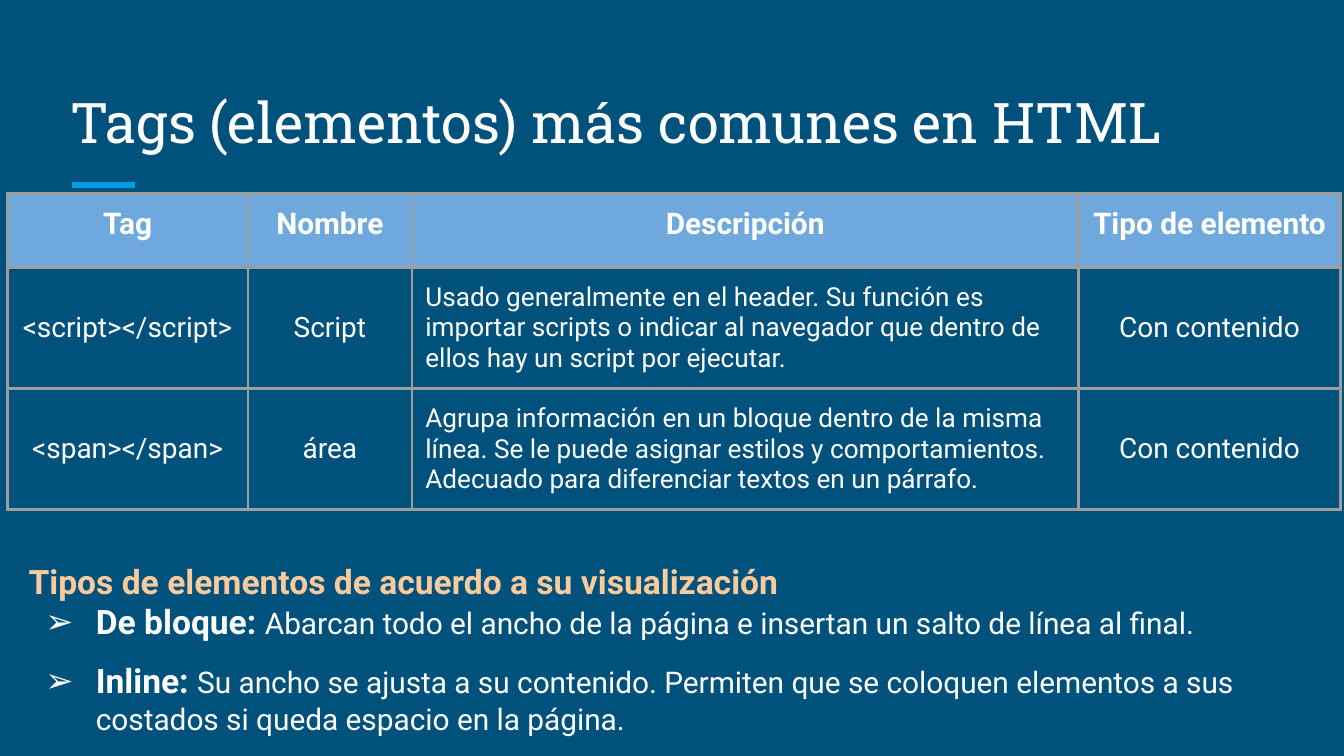
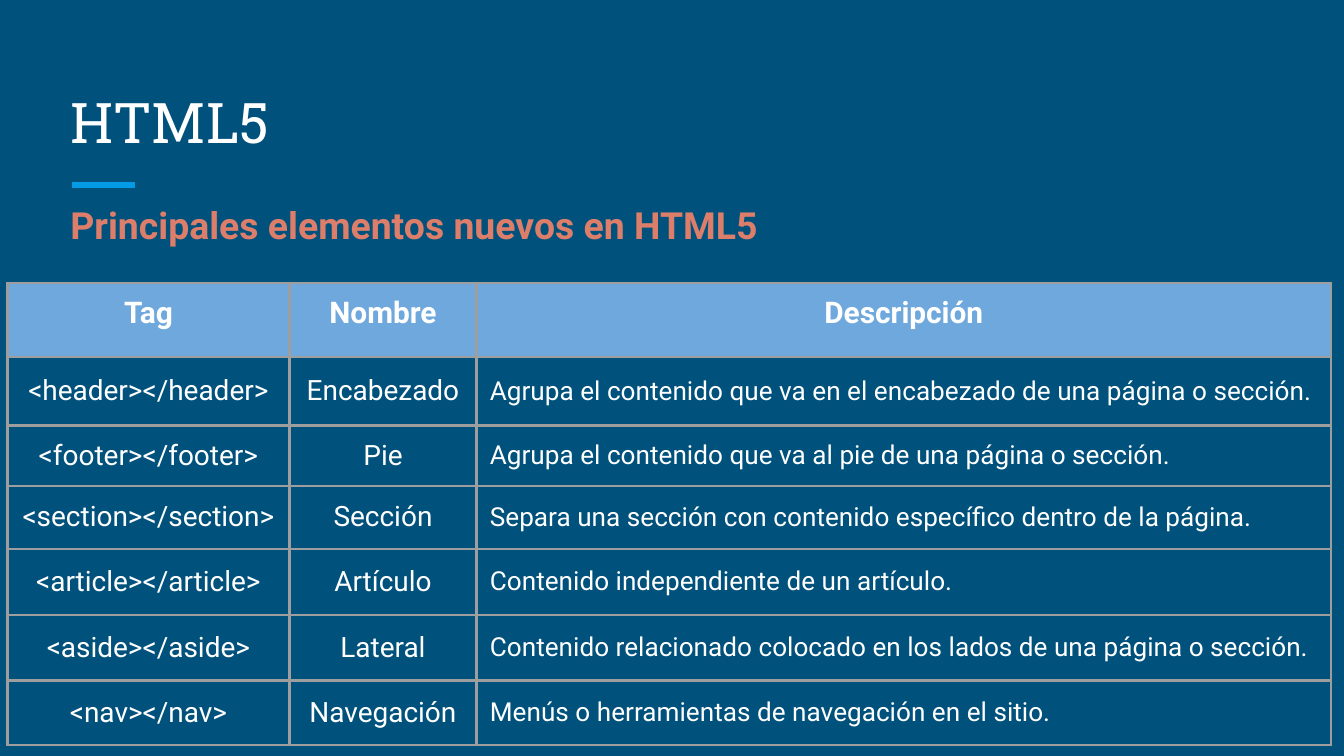
from dataclasses import dataclass

from lxml.etree import SubElement
from pptx import Presentation
from pptx.dml.color import RGBColor
from pptx.enum.shapes import MSO_CONNECTOR
from pptx.enum.text import MSO_ANCHOR, PP_ALIGN
from pptx.oxml.ns import qn
from pptx.util import Inches, Pt


@dataclass(frozen=True)
class Theme:
    background: str = "00517C"
    text: str = "FFFFFF"
    accent: str = "039BE5"
    header: str = "6FA8DC"
    border: str = "9E9E9E"
    peach: str = "F9CB9C"
    coral: str = "DD7E6B"
    body_font: str = "Roboto"
    title_font: str = "Roboto Slab"
    title_size: int = 30
    subtitle_size: int = 20
    lead_size: int = 18
    header_size: int = 16
    tag_size: int = 15
    description_size: int = 14
    accent_width: float = 3
    border_width: float = 1.5


THEME = Theme()

# Widescreen page on a square grid, 100 units across
WIDTH = 10
HEIGHT = WIDTH * 9 / 16
UNIT = WIDTH / 100
INSET = 1
MARGIN_LEFT = 4.25
TABLE_LEFT = 0.55
HEADER_ROW = 5.5

DESCRIPTION = "Descripción"
COMMON_TAGS = [
    ("Tag", "Nombre", DESCRIPTION, "Tipo de elemento"),
    ("<script></script>", "Script",
     "Usado generalmente en el header. Su función es importar scripts o indicar "
     "al navegador que dentro de ellos hay un script por ejecutar.",
     "Con contenido"),
    ("<span></span>", "área",
     "Agrupa información en un bloque dentro de la misma línea. Se le puede "
     "asignar estilos y comportamientos. Adecuado para diferenciar textos en "
     "un párrafo.",
     "Con contenido"),
]
DISPLAY_TYPES = [
    ("De bloque: ",
     "Abarcan todo el ancho de la página e insertan un salto de línea al final."),
    ("Inline: ",
     "Su ancho se ajusta a su contenido. Permiten que se coloquen elementos a "
     "sus costados si queda espacio en la página."),
]
HTML5_TAGS = [
    ("Tag", "Nombre", DESCRIPTION),
    ("<header></header>", "Encabezado",
     "Agrupa el contenido que va en el encabezado de una página o sección."),
    ("<footer></footer>", "Pie",
     "Agrupa el contenido que va al pie de una página o sección."),
    ("<section></section>", "Sección",
     "Separa una sección con contenido específico dentro de la página."),
    ("<article></article>", "Artículo",
     "Contenido independiente de un artículo."),
    ("<aside></aside>", "Lateral",
     "Contenido relacionado colocado en los lados de una página o sección."),
    ("<nav></nav>", "Navegación",
     "Menús o herramientas de navegación en el sitio."),
]


def grid(*units):
    return [Inches(unit * UNIT) for unit in units]


def apply_format(target, values):
    for name, value in values.items():
        setattr(target, name, value)


def inset_format():
    return {f"margin_{side}": Inches(INSET * UNIT)
            for side in ("left", "right", "top", "bottom")}


# Text
def add_span(para, text, size, color=THEME.text, font=THEME.body_font, bold=False):
    span = para.add_run()
    span.text = text
    apply_format(span.font, {"size": Pt(size), "name": font, "bold": bold})
    span.font.color.rgb = RGBColor.from_string(color)


def add_box(page, left, top, width, height, anchor=MSO_ANCHOR.TOP):
    box = page.shapes.add_textbox(*grid(left, top, width, height))
    apply_format(box.text_frame, {
        "word_wrap": True, "vertical_anchor": anchor, **inset_format()})
    return box.text_frame


def set_bullet(para, symbol, indent, hanging):
    properties = para._p.get_or_add_pPr()
    properties.set("marL", str(Inches(indent * UNIT)))
    properties.set("indent", str(-Inches(hanging * UNIT)))
    color = SubElement(properties, qn("a:buClr"))
    SubElement(color, qn("a:srgbClr"), val=THEME.text)
    SubElement(properties, qn("a:buFont"), typeface=THEME.body_font)
    SubElement(properties, qn("a:buChar"), char=symbol)


# Page with the shared background, accent line and title
def add_page(deck, title):
    page = deck.slides.add_slide(deck.slide_layouts[6])
    fill = page.background.fill
    fill.solid()
    fill.fore_color.rgb = RGBColor.from_string(THEME.background)

    accent = page.shapes.add_connector(
        MSO_CONNECTOR.STRAIGHT, *grid(5.35, 13.75, 10.05, 13.75))
    accent.line.color.rgb = RGBColor.from_string(THEME.accent)
    accent.line.width = Pt(THEME.accent_width)
    SubElement(accent._element.spPr, qn("a:effectLst"))

    frame = add_box(page, MARGIN_LEFT, 5, 91.5, 7.5, MSO_ANCHOR.BOTTOM)
    add_span(frame.paragraphs[0], title, THEME.title_size, font=THEME.title_font)
    return page


# Table
def set_borders(cell):
    properties = cell._tc.get_or_add_tcPr()
    for side in ("lnL", "lnR", "lnT", "lnB"):
        line = SubElement(properties, qn(f"a:{side}"),
                          w=str(Pt(THEME.border_width)))
        fill = SubElement(line, qn("a:solidFill"))
        SubElement(fill, qn("a:srgbClr"), val=THEME.border)


def fill_cell(cell, text, is_header, is_description):
    apply_format(cell, {
        "vertical_anchor": MSO_ANCHOR.TOP if is_header else MSO_ANCHOR.MIDDLE,
        **inset_format()})
    set_borders(cell)
    if is_header:
        cell.fill.solid()
        cell.fill.fore_color.rgb = RGBColor.from_string(THEME.header)
        size = THEME.header_size
    else:
        cell.fill.background()
        size = THEME.description_size if is_description else THEME.tag_size
    para = cell.text_frame.paragraphs[0]
    left_aligned = is_description and not is_header
    para.alignment = PP_ALIGN.LEFT if left_aligned else PP_ALIGN.CENTER
    add_span(para, text, size, bold=is_header)


def add_tag_table(page, top, widths, heights, rows):
    frame = page.shapes.add_table(
        len(rows), len(widths),
        *grid(TABLE_LEFT, top, sum(widths), sum(heights)))
    table = frame.table
    apply_format(table, {"first_row": False, "horz_banding": False})
    for column, width in zip(table.columns, grid(*widths)):
        column.width = width
    for row, height in zip(table.rows, grid(*heights)):
        row.height = height
    description_column = rows[0].index(DESCRIPTION)
    for row_index, texts in enumerate(rows):
        for column_index, text in enumerate(texts):
            fill_cell(table.cell(row_index, column_index), text,
                      row_index == 0, column_index == description_column)


# Heading followed by a bulleted list of terms
def add_definitions(page, heading, definitions):
    frame = add_box(page, 1.15, 39.25, 95.9, 16.4)
    para = frame.paragraphs[0]
    para.line_spacing = 1.5
    add_span(para, heading, THEME.lead_size, THEME.peach, bold=True)
    for index, (term, meaning) in enumerate(definitions):
        para = frame.add_paragraph()
        if index:
            apply_format(para, {"space_before": Pt(10), "space_after": Pt(10)})
        set_bullet(para, "➢", 5, 3.75)
        add_span(para, term, THEME.lead_size, bold=True)
        add_span(para, meaning, THEME.header_size)


def main():
    deck = Presentation()
    apply_format(deck, {"slide_width": Inches(WIDTH),
                        "slide_height": Inches(HEIGHT)})

    # Common tags
    page = add_page(deck, "Tags (elementos) más comunes en HTML")
    add_tag_table(page, 14.4, [17.9, 12.2, 49.6, 19.5],
                  [HEADER_ROW] * len(COMMON_TAGS), COMMON_TAGS)
    add_definitions(page, "Tipos de elementos de acuerdo a su visualización",
                    DISPLAY_TYPES)

    # New tags in HTML5
    page = add_page(deck, "HTML5")
    frame = add_box(page, MARGIN_LEFT, 14.05, 96, 5.2)
    add_span(frame.paragraphs[0], "Principales elementos nuevos en HTML5",
             THEME.subtitle_size, THEME.coral, bold=True)
    add_tag_table(page, 21.05, [21, 13.9, 63.6],
                  [HEADER_ROW, 5.1, 4.4, 4.7, 4.9, 4.9, 4.8], HTML5_TAGS)

    deck.save("out.pptx")


if __name__ == "__main__":
    main()
